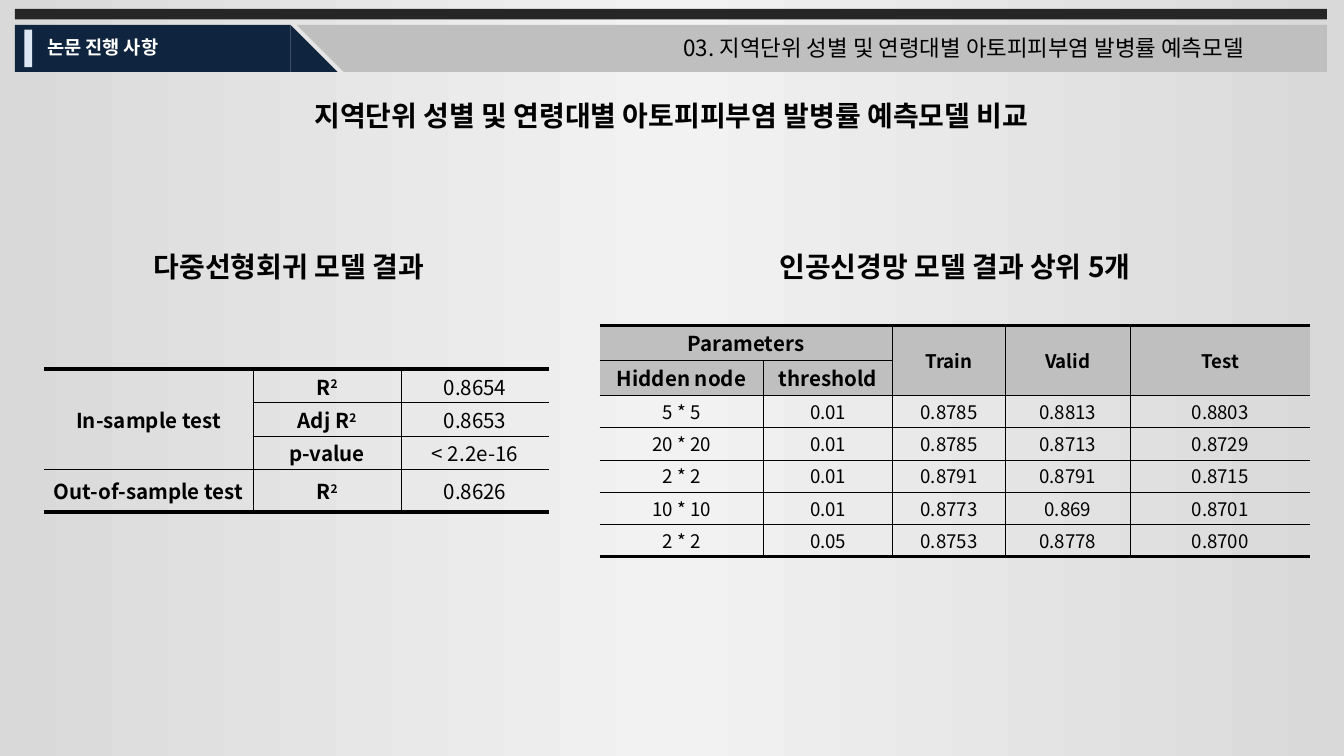
from dataclasses import dataclass

from pptx import Presentation
from pptx.dml.color import RGBColor as RGB
from pptx.enum.shapes import MSO_SHAPE as Shape
from pptx.enum.text import MSO_ANCHOR as Anchor, MSO_AUTO_SIZE as Auto, PP_ALIGN as Align
from pptx.oxml.ns import qn
from pptx.util import Cm, Pt
from lxml.etree import SubElement as sub


@dataclass(frozen=True)
class Theme:
    font: str = "Noto Sans CJK KR"
    ink: str = "000000"
    white: str = "FFFFFF"
    strip: str = "262626"
    navy: str = "0F243E"
    gray: str = "BFBFBF"
    pale: str = "DCE6F2"
    edge: str = "D9D9D9"
    glow: str = "F2F2F2"
    head: int = 15
    topic: int = 12
    label: int = 11
    body: int = 10
    thin: float = 0.28
    thick: float = 2.25


T = Theme()


def add_run(para, text, size, color=T.ink, bold=False, sup=False):
    run = para.add_run()
    run.text = text
    font = run.font
    font.name, font.size, font.bold = T.font, Pt(size), bold
    font.color.rgb = RGB.from_string(color)
    props = run._r.get_or_add_rPr()
    sub(props, qn("a:ea"), typeface=T.font)
    if sup:
        props.set("baseline", "30000")


def place(shape, box):
    shape.left, shape.top, shape.width, shape.height = (Cm(v) for v in box)


def write(shape, text, size, color=T.ink, bold=False, align=Align.LEFT, wrap=True):
    """Fill a text box or placeholder with one line of text."""
    frame = shape.text_frame
    frame.word_wrap = wrap
    frame.auto_size = Auto.SHAPE_TO_FIT_TEXT
    frame.vertical_anchor = Anchor.TOP
    para = frame.paragraphs[0]
    para.alignment = align
    add_run(para, text, size, color, bold)


def add_text(slide, box, *args, **style):
    write(slide.shapes.add_textbox(*(Cm(v) for v in box)), *args, **style)


def add_block(shapes, kind, box, color, flip=False):
    block = shapes.add_shape(kind, *(Cm(v) for v in box))
    block.shadow.inherit = False
    block.fill.solid()
    block.fill.fore_color.rgb = RGB.from_string(color)
    block.line.fill.background()
    if flip:
        xfrm = block._element.spPr.find(qn("a:xfrm"))
        xfrm.set("flipH", "1")
        xfrm.set("flipV", "1")


def paint_back(slide):
    fill = slide.background.fill
    fill.gradient()
    fill.gradient_angle = 0
    stops = slide._element.find(".//" + qn("a:gsLst"))
    stops.clear()
    for pos, color in ((0, T.edge), (50, T.glow), (100, T.edge)):
        stop = sub(stops, qn("a:gs"), pos=str(pos * 1000))
        sub(stop, qn("a:srgbClr"), val=color)


def add_banner(slide, box, section, topic):
    """Dark strip, then a navy tab and a gray band that meet on a slant."""
    x, y, w, h = box
    strip, tab, gap = 0.2, 5.21, 0.12
    bar = h - 0.89
    side = h - bar
    top = y + bar
    slant = x + tab
    band = slant + gap + side
    shapes = slide.shapes
    add_block(shapes, Shape.RECTANGLE, (x, y, w, strip), T.strip)
    add_block(shapes, Shape.RECTANGLE, (x, top, tab, side), T.navy)
    add_block(shapes, Shape.RIGHT_TRIANGLE, (slant, top, side, side), T.navy)
    group = shapes.add_group_shape().shapes
    add_block(group, Shape.RECTANGLE, (band, top, x + w - band, side), T.gray, flip=True)
    add_block(group, Shape.RIGHT_TRIANGLE, (slant + gap, top, side, side), T.gray, flip=True)
    add_block(shapes, Shape.RECTANGLE, (x + 0.18, top + 0.09, 0.15, 0.71), T.pale)
    add_text(slide, (x + 0.36, top + 0.09, 2.87, 0.69), section, T.body, T.white, bold=True)
    add_text(slide, (12.67, top + 0.05, 12.4, 0.76), topic, T.topic, wrap=False)


def add_title(slide, box, text):
    place(slide.shapes.title, box)
    write(slide.shapes.title, text, T.head, bold=True, align=Align.CENTER)


def rule_cell(cell, **widths):
    """Draw the L, R, T and B borders; a width of 0 hides one."""
    props = cell._tc.get_or_add_tcPr()
    for side, width in widths.items():
        line = sub(props, qn("a:ln" + side), w=str(Pt(width)))
        if width:
            sub(sub(line, qn("a:solidFill")), qn("a:srgbClr"), val=T.ink)
        else:
            sub(line, qn("a:noFill"))


def add_grid(slide, spot, cols, rows, cells, merges, style):
    """style(row, col) gives the size, weight and fill of a cell; ^ starts a superscript."""
    box = (*spot, sum(cols), sum(rows))
    table = slide.shapes.add_table(len(rows), len(cols), *(Cm(v) for v in box)).table
    table.first_row = table.horz_banding = False
    for col, width in zip(table.columns, cols):
        col.width = Cm(width)
    for row, height in zip(table.rows, rows):
        row.height = Cm(height)
    for r, line in enumerate(cells):
        for c, text in enumerate(line):
            cell = table.cell(r, c)
            size, bold, fill = style(r, c)
            rule_cell(cell, L=T.thin if c else 0,
                      R=T.thin if c < len(cols) - 1 else 0,
                      T=T.thin if r else T.thick,
                      B=T.thin if r < len(rows) - 1 else T.thick)
            if fill:
                cell.fill.solid()
                cell.fill.fore_color.rgb = RGB.from_string(fill)
            else:
                cell.fill.background()
            cell.vertical_anchor = Anchor.MIDDLE
            cell.margin_left = cell.margin_right = Cm(0.02)
            cell.margin_top = cell.margin_bottom = 0
            para = cell.text_frame.paragraphs[0]
            para.alignment = Align.CENTER
            for i, part in enumerate(text.split("^") if text else ()):
                add_run(para, part, size, bold=bold, sup=i > 0)
    for first, last in merges:
        table.cell(*first).merge(table.cell(*last))


def add_linear(slide, x, y):
    add_text(slide, (x + 1.52, y, 6.2, 0.89), "다중선형회귀 모델 결과",
             T.head, bold=True, align=Align.CENTER)
    cells = [("In-sample test", "R^2", "0.8654"),
             ("", "Adj R^2", "0.8653"),
             ("", "p-value", "< 2.2e-16"),
             ("Out-of-sample test", "R^2", "0.8626")]
    add_grid(slide, (x, y + 2.38), (3.94, 2.8, 2.8), (0.63, 0.63, 0.63, 0.81), cells,
             [((0, 0), (2, 0))], lambda r, c: (T.label, c < 2, None))


def add_neural(slide, x, y):
    add_text(slide, (x + 2.72, y, 8, 0.89), "인공신경망 모델 결과 상위 5개",
             T.head, bold=True, align=Align.CENTER)
    cells = [("Parameters", "", "Train", "Valid", "Test"),
             ("Hidden node", "threshold", "", "", ""),
             ("5 * 5", "0.01", "0.8785", "0.8813", "0.8803"),
             ("20 * 20", "0.01", "0.8785", "0.8713", "0.8729"),
             ("2 * 2", "0.01", "0.8791", "0.8791", "0.8715"),
             ("10 * 10", "0.01", "0.8773", "0.869", "0.8701"),
             ("2 * 2", "0.05", "0.8753", "0.8778", "0.8700")]
    merges = [((0, 0), (0, 1))] + [((0, c), (1, c)) for c in (2, 3, 4)]

    def style(r, c):
        head = r < 2
        return T.label if head and c < 2 else T.body, head, T.gray if head else None

    add_grid(slide, (x, y + 1.55), (3.1, 2.44, 2.13, 2.36, 3.4),
             [0.66] * 2 + [0.61] * 5, cells, merges, style)


def main():
    deck = Presentation()
    deck.slide_width, deck.slide_height = Cm(25.4), Cm(14.29)
    slide = deck.slides.add_slide(deck.slide_layouts[5])
    paint_back(slide)
    add_banner(slide, (0.28, 0.17, 24.8, 1.19), "논문 진행 사항",
               "03. 지역단위 성별 및 연령대별 아토피피부염 발병률 예측모델")
    add_title(slide, (4.55, 1.73, 16.28, 0.89),
              "지역단위 성별 및 연령대별 아토피피부염 발병률 예측모델 비교")
    add_linear(slide, 0.84, 4.6)
    add_neural(slide, 11.33, 4.6)
    deck.save("out.pptx")


if __name__ == "__main__":
    main()
